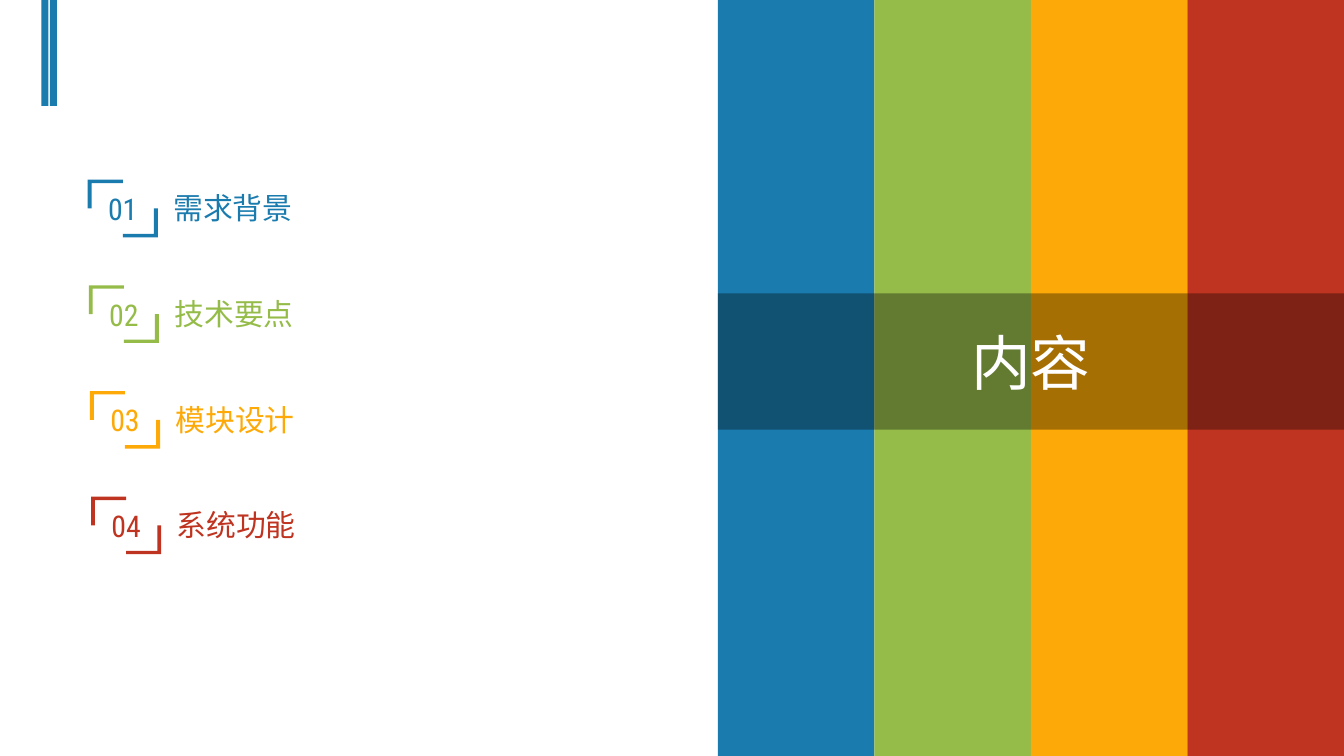
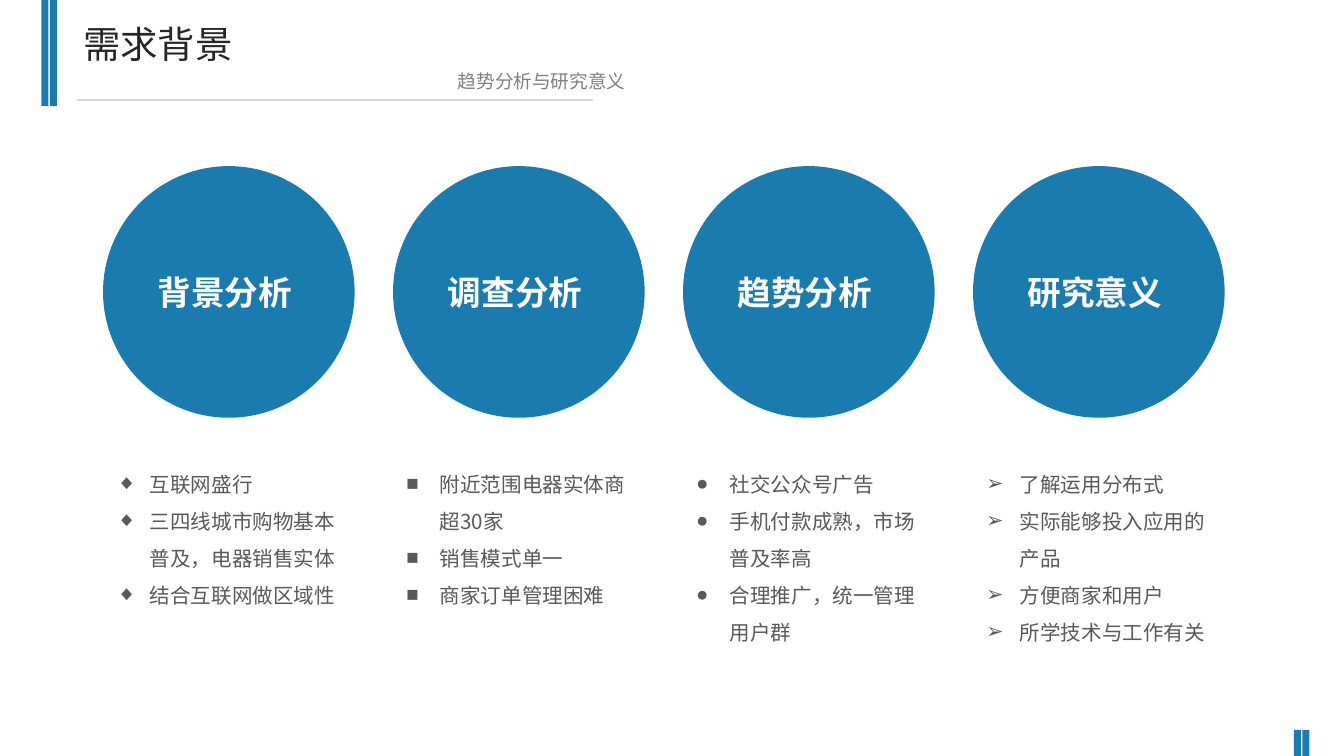
from dataclasses import dataclass

from lxml.etree import SubElement
from pptx import Presentation
from pptx.dml.color import RGBColor
from pptx.enum.shapes import MSO_CONNECTOR as Connector, MSO_SHAPE as Shape
from pptx.enum.text import MSO_ANCHOR as Anchor, MSO_AUTO_SIZE as AutoSize, PP_ALIGN as Align
from pptx.oxml.ns import qn
from pptx.util import Pt

WIDTH, HEIGHT = 720, 405
BLUE, GREEN, ORANGE, RED = "1A7BAE", "95BC49", "FDA907", "BF3420"
WHITE, BLACK, TITLE, BODY, MUTED, RULE = "FFFFFF", "000000", "262626", "595959", "808080", "D9D9D9"
ARIAL, CONDENSED, CJK = "Arial", "Roboto Condensed", "Noto Sans CJK SC"
BAR_WIDTH, BAR_PITCH = 3.8, 4.5
INDENT = 18


@dataclass(frozen=True)
class Style:
    font: str
    size: float
    color: str
    bold: bool = False


@dataclass(frozen=True)
class Entry:
    label: str
    color: str


@dataclass(frozen=True)
class Topic:
    heading: str
    bullet: str
    points: tuple[str, ...]
    height: float


ENTRIES = [
    Entry("需求背景", BLUE),
    Entry("技术要点", GREEN),
    Entry("模块设计", ORANGE),
    Entry("系统功能", RED),
]

TOPICS = [
    Topic("背景分析 ", "◆", ("互联网盛行", "三四线城市购物基本普及，电器销售实体", "结合互联网做区域性"), 87),
    Topic("调查分析 ", "■", ("附近范围电器实体商超30家", "销售模式单一", "商家订单管理困难"), 87),
    Topic("趋势分析 ", "●", ("社交公众号广告", "手机付款成熟，市场普及率高", "合理推广，统一管理用户群"), 107),
    Topic("研究意义 ", "➢", ("了解运用分布式", "实际能够投入应用的产品", "方便商家和用户", "所学技术与工作有关"), 147),
]


def rgb(color: str) -> RGBColor:
    return RGBColor.from_string(color)


def paint(sp, color: str) -> None:
    """Give a shape a plain fill, without outline or shadow."""
    sp.shadow.inherit = False
    sp.fill.solid()
    sp.fill.fore_color.rgb = rgb(color)
    sp.line.fill.background()


def add_shape(s, kind: Shape, x: float, y: float, w: float, h: float, color: str):
    sp = s.shapes.add_shape(kind, Pt(x), Pt(y), Pt(w), Pt(h))
    paint(sp, color)
    return sp


def add_run(p, text: str, style: Style) -> None:
    r = p.add_run()
    r.text = text
    r.font.name = style.font
    r.font.size = Pt(style.size)
    r.font.bold = style.bold
    r.font.color.rgb = rgb(style.color)
    SubElement(r.font._element, qn("a:ea")).set("typeface", CJK)


def center_text(sp, text: str, style: Style) -> None:
    tf = sp.text_frame
    tf.word_wrap = True
    tf.vertical_anchor = Anchor.MIDDLE
    p = tf.paragraphs[0]
    p.alignment = Align.CENTER
    add_run(p, text, style)


def add_text_frame(s, x: float, y: float, w: float, h: float):
    tf = s.shapes.add_textbox(Pt(x), Pt(y), Pt(w), Pt(h)).text_frame
    tf.word_wrap = True
    tf.auto_size = AutoSize.SHAPE_TO_FIT_TEXT
    return tf


def add_line_of_text(s, x: float, y: float, w: float, h: float, text: str, style: Style,
                     align: Align = Align.LEFT) -> None:
    p = add_text_frame(s, x, y, w, h).paragraphs[0]
    p.alignment = align
    add_run(p, text, style)


def add_bullets(s, x: float, y: float, w: float, topic: Topic) -> None:
    tf = add_text_frame(s, x, y, w, topic.height)
    for i, point in enumerate(topic.points):
        p = tf.add_paragraph() if i else tf.paragraphs[0]
        p.line_spacing = 1.5
        pPr = p._p.get_or_add_pPr()
        pPr.set("marL", str(Pt(INDENT)))
        pPr.set("indent", str(-Pt(INDENT)))
        SubElement(pPr, qn("a:buFont")).set("typeface", ARIAL)
        SubElement(pPr, qn("a:buChar")).set("char", topic.bullet)
        add_run(p, point, Style(CJK, 11, BODY))


def add_double_bar(s, x: float, y: float, h: float) -> None:
    for i in range(2):
        add_shape(s, Shape.RECTANGLE, x + i * BAR_PITCH, y, BAR_WIDTH, h, BLUE)


def add_header_bars(s) -> None:
    add_double_bar(s, 22.2, 0, 56.8)


def add_footer_bars(s) -> None:
    add_double_bar(s, 693.2, 391, HEIGHT - 391)


def add_title(s, title: str, subtitle: str) -> None:
    add_line_of_text(s, 37.5, 8, 304.5, 31.5, title, Style(CONDENSED, 20, TITLE))
    add_line_of_text(s, 37.5, 33.8, 304.5, 19.4, subtitle, Style(ARIAL, 10, MUTED), Align.RIGHT)
    rule = s.shapes.add_connector(Connector.STRAIGHT, Pt(41.2), Pt(53.6), Pt(317.5), Pt(53.6))
    rule.line.color.rgb = rgb(RULE)
    rule.line.width = Pt(0.75)
    SubElement(rule._element.spPr, qn("a:effectLst"))


def add_brackets(s, x: float, y: float, color: str):
    """Draw two opposite corner brackets as one outline."""
    w, h, side, edge = 37.6, 30.8, 2.1, 1.8
    mid_x, mid_y = w / 2, h / 2
    top_left = [(0, 0), (mid_x, 0), (mid_x, edge), (side, edge), (side, mid_y), (0, mid_y)]
    bottom_right = [(w - dx, h - dy) for dx, dy in top_left]
    corners = [[(Pt(x + dx), Pt(y + dy)) for dx, dy in corner] for corner in (top_left, bottom_right)]
    builder = s.shapes.build_freeform(*corners[0][0])
    builder.add_line_segments(corners[0][1:], close=True)
    builder.move_to(*corners[1][0])
    builder.add_line_segments(corners[1][1:], close=True)
    sp = builder.convert_to_shape()
    paint(sp, color)
    sp.text_frame.margin_left = sp.text_frame.margin_right = 0
    return sp


def build_contents(prs) -> None:
    s = prs.slides.add_slide(prs.slide_layouts[6])
    add_header_bars(s)
    panel_x = 384.6
    stripe_w = (WIDTH - panel_x) / len(ENTRIES)
    for i, entry in enumerate(ENTRIES):
        x, y = 47 + 0.6 * i, 96.3 + 56.6 * i
        add_line_of_text(s, x + 38.8, y + 1.9, 286.6, 26.6, entry.label, Style(ARIAL, 16, entry.color))
        brackets = add_brackets(s, x, y, entry.color)
        center_text(brackets, f"{i + 1:02}", Style(CONDENSED, 16, entry.color))
        add_shape(s, Shape.RECTANGLE, panel_x + i * stripe_w, 0, stripe_w, HEIGHT, entry.color)
    band = add_shape(s, Shape.RECTANGLE, panel_x, 157.2, WIDTH - panel_x, 73, BLACK)
    fill_color = band._element.spPr.find(qn("a:solidFill"))[0]
    SubElement(fill_color, qn("a:alpha")).set("val", "34000")
    center_text(band, "内容", Style(CONDENSED, 32, WHITE))


def build_background(prs) -> None:
    s = prs.slides.add_slide(prs.slide_layouts[6])
    add_header_bars(s)
    add_footer_bars(s)
    add_title(s, "需求背景", "趋势分析与研究意义")
    diameter, pitch = 134.8, 155.35
    for i, topic in enumerate(TOPICS):
        x = 55.2 + i * pitch
        circle = add_shape(s, Shape.OVAL, x, 89, diameter, diameter, BLUE)
        center_text(circle, topic.heading, Style(ARIAL, 18, WHITE, bold=True))
        add_bullets(s, x, 242.5, diameter, topic)


def main() -> None:
    prs = Presentation()
    prs.slide_width, prs.slide_height = Pt(WIDTH), Pt(HEIGHT)
    build_contents(prs)
    build_background(prs)
    prs.save("out.pptx")


if __name__ == "__main__":
    main()
